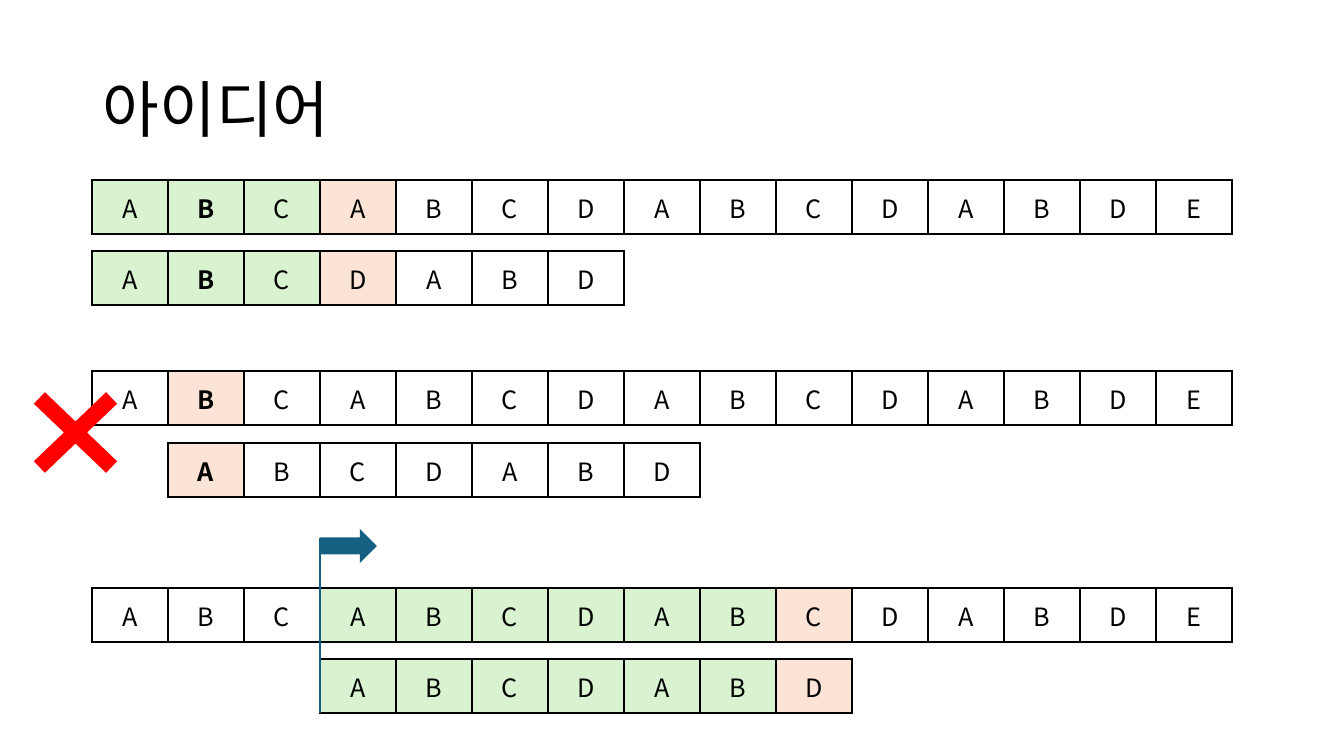
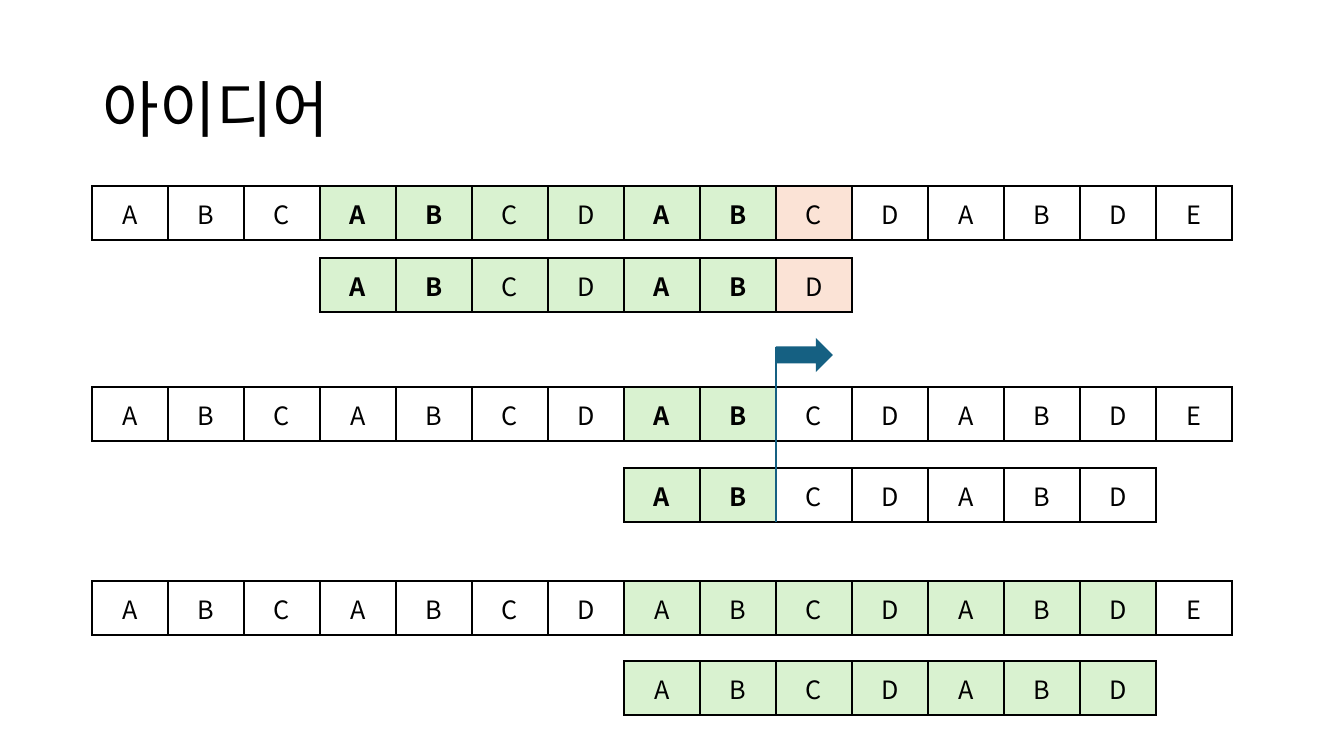
from dataclasses import dataclass

from lxml import etree
from pptx import Presentation
from pptx.dml.color import RGBColor
from pptx.enum.shapes import MSO_CONNECTOR, MSO_SHAPE
from pptx.enum.text import MSO_ANCHOR, PP_ALIGN
from pptx.oxml.ns import qn
from pptx.util import Pt

LINE = MSO_CONNECTOR.STRAIGHT
ARROW = MSO_SHAPE.RIGHT_ARROW
CROSS = MSO_SHAPE.MATH_MULTIPLY
MIDDLE = MSO_ANCHOR.MIDDLE
CENTER = PP_ALIGN.CENTER

PX = 914400 / 100.8


@dataclass(frozen=True)
class Theme:
    font: str = "Noto Sans CJK KR"
    ink: str = "000000"
    plain: str = "FFFFFF"
    match: str = "D9F2D0"
    miss: str = "FBE3D6"
    jump: str = "156082"
    wrong: str = "FF0000"
    head: int = 44
    body: int = 18
    edge: int = 1
    rule: float = 1.5


T = Theme()
FILLS = {".": T.plain, "g": T.match, "x": T.miss}

WORD = "ABCABCDABCDABDE"
KEY = "ABCDABD"
LEFT, CELL, ROW = 92, 76, 54
TITLE = "아이디어"

# Each row: top, first column, text, marks.
# Marks: g = match, x = mismatch, . = plain; a capital or * makes it bold.
SLIDES = [
    {
        "rows": [
            (180, 0, WORD, "gGgx..........."),
            (251, 0, KEY, "gGgx..."),
            (371, 0, WORD, ".X............."),
            (443, 1, KEY, "X......"),
            (588, 0, WORD, "...ggggggx....."),
            (659, 3, KEY, "ggggggx"),
        ],
        "flag": (3, 529, 713),
        "cross": (6, 366, 139, 133),
    },
    {
        "rows": [
            (186, 0, WORD, "...GGggGGx....."),
            (258, 3, KEY, "GGggGGx"),
            (387, 0, WORD, ".......GG......"),
            (468, 7, KEY, "GG....."),
            (581, 0, WORD, ".......ggggggg."),
            (661, 7, KEY, "ggggggg"),
        ],
        "flag": (9, 338, 522),
    },
]


def emu(*sizes):
    return [round(size * PX) for size in sizes]


def write(frame, text, size, bold=False):
    """Add one styled run to the frame's first paragraph and return the paragraph."""
    para = frame.paragraphs[0]
    run = para.add_run()
    run.text = text
    font = run.font
    font.size, font.bold, font.name = Pt(size), bold, T.font
    font.color.rgb = RGBColor.from_string(T.ink)
    east = etree.SubElement(run._r.get_or_add_rPr(), qn("a:ea"))
    east.set("typeface", T.font)
    return para


deck = Presentation()
deck.slide_width, deck.slide_height = emu(1344, 756)

for plan in SLIDES:
    slide = deck.slides.add_slide(deck.slide_layouts[6])
    shapes = slide.shapes

    title = shapes.add_textbox(*emu(93, 40, 1159, 146)).text_frame
    title.word_wrap = True
    title.vertical_anchor = MIDDLE
    write(title, TITLE, T.head).line_spacing = 0.9

    for top, start, text, marks in plan["rows"]:
        count = len(text)
        box = emu(LEFT + start * CELL, top, count * CELL, ROW)
        table = shapes.add_table(1, count, *box).table
        table.first_row = table.horz_banding = False
        for col, (char, mark) in enumerate(zip(text, marks)):
            table.columns[col].width = emu(CELL)[0]
            cell = table.cell(0, col)
            cell.vertical_anchor = MIDDLE
            write(cell.text_frame, char, T.body, mark.isupper()).alignment = CENTER
            props = cell._tc.get_or_add_tcPr()
            for side in ("a:lnL", "a:lnR", "a:lnT", "a:lnB"):
                edge = etree.SubElement(props, qn(side), w=str(Pt(T.edge)))
                fill = etree.SubElement(edge, qn("a:solidFill"))
                etree.SubElement(fill, qn("a:srgbClr"), val=T.ink)
            cell.fill.solid()
            cell.fill.fore_color.rgb = RGBColor.from_string(FILLS[mark.lower()])

    col, top, end = plan["flag"]
    x = LEFT + col * CELL
    pole = shapes.add_connector(LINE, *emu(x, top + 9, x, end))
    pole.line.width = Pt(T.rule)
    pole.line.color.rgb = RGBColor.from_string(T.jump)
    etree.SubElement(pole._element.spPr, qn("a:effectLst"))

    signs = [(ARROW, (x, top, 57, 34), T.jump)]
    if "cross" in plan:
        signs.append((CROSS, plan["cross"], T.wrong))
    for kind, box, color in signs:
        sign = shapes.add_shape(kind, *emu(*box))
        sign.shadow.inherit = False
        sign.fill.solid()
        sign.fill.fore_color.rgb = RGBColor.from_string(color)
        sign.line.fill.background()
        if kind == CROSS:
            sign.adjustments[0] = 0.12

deck.save("out.pptx")
